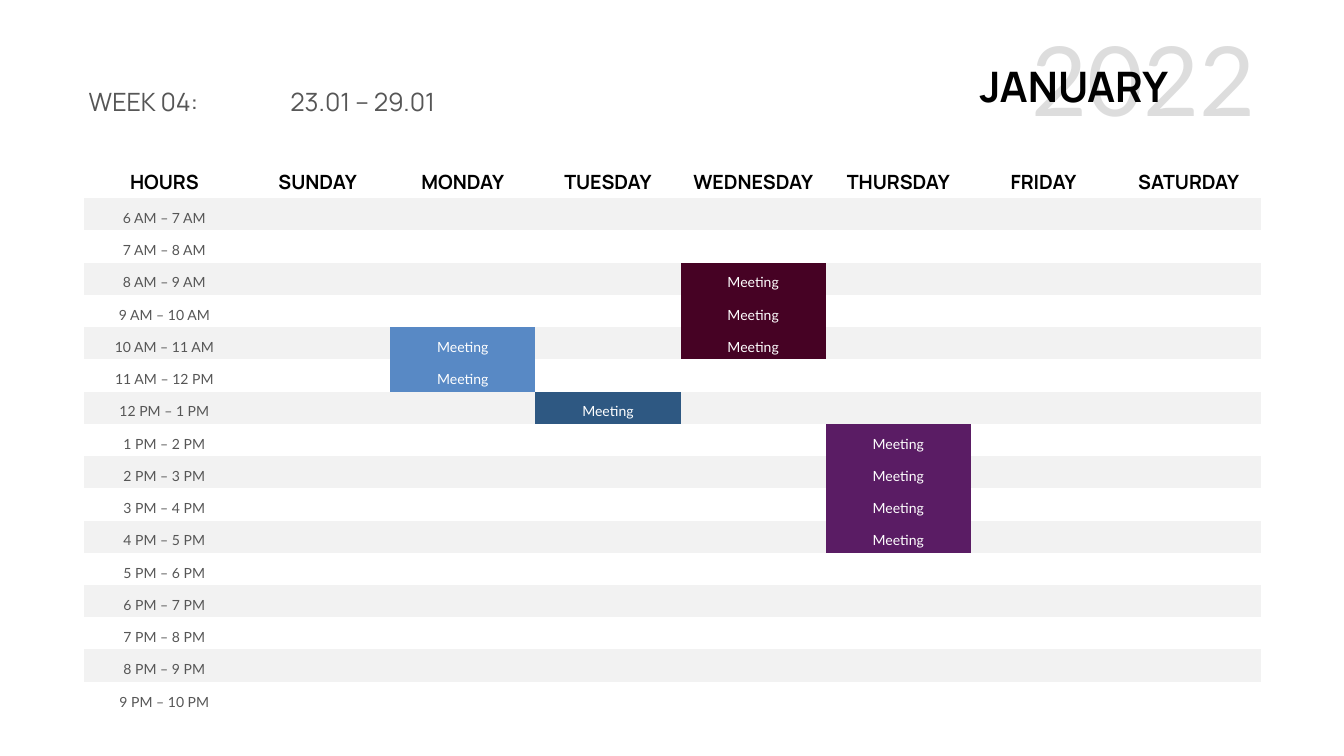
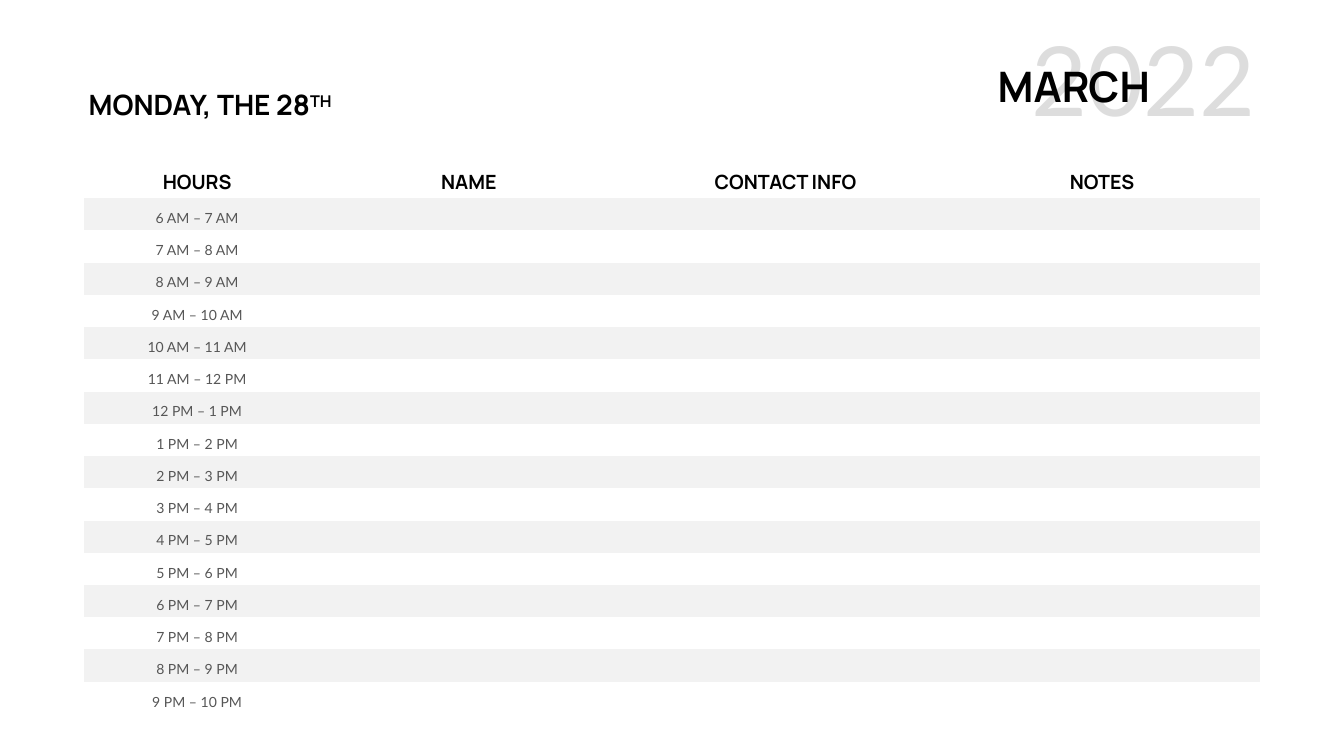
from lxml import etree
from pptx import Presentation
from pptx.dml.color import RGBColor as Rgb
from pptx.enum.text import MSO_ANCHOR as Anchor, MSO_AUTO_SIZE as Fit, PP_ALIGN as Align
from pptx.oxml.ns import qn
from pptx.util import Inches, Pt

HUES = {
    "ink": "000000", "grey": "565656", "white": "FFFFFF", "band": "F2F2F2",
    "wine": "460224", "sky": "5889C5", "navy": "2E5882", "plum": "5A1C64",
}
HEAD, BODY = "Manrope", "Lato"
LEFT, TOP = 1.66, 3.28
HEAD_ROW, ROW = 0.65, 0.64
MONTH_MID = 21.3
PLAIN = "{2D5ABB26-0587-4C30-8999-92F81FD0307C}"
FIRST, LAST = 6, 22
DAYS = ["SUNDAY", "MONDAY", "TUESDAY", "WEDNESDAY", "THURSDAY", "FRIDAY", "SATURDAY"]
# day, start hour, end hour, colour
MEETINGS = [
    ("WEDNESDAY", 8, 11, "wine"),
    ("MONDAY", 10, 12, "sky"),
    ("TUESDAY", 12, 13, "navy"),
    ("THURSDAY", 13, 17, "plum"),
]


def clock(hour):
    return f"{(hour - 1) % 12 + 1} {'AM' if hour < 12 else 'PM'}"


class Planner:
    """Holds the deck, its style and the current slide."""

    def __init__(self):
        self.deck = Presentation()
        self.deck.slide_width = Inches(26.66)
        self.deck.slide_height = Inches(15)

    def start(self):
        self.slide = self.deck.slides.add_slide(self.deck.slide_layouts[5])
        self.shapes = self.slide.shapes

    def run(self, para, text, size, face, hue, bold=False):
        run = para.add_run()
        run.text = text
        font = run.font
        font.size, font.name, font.bold = Pt(size), face, bold
        font.color.rgb = Rgb.from_string(HUES[hue])
        return run

    def frame(self, shape, align, anchor=Anchor.TOP):
        """Set up a box that fits its text and return its first paragraph."""
        box = shape.text_frame
        box.word_wrap = False
        box.auto_size = Fit.SHAPE_TO_FIT_TEXT
        box.vertical_anchor = anchor
        para = box.paragraphs[0]
        para.alignment = align
        return para

    def title(self, top, width, height, anchor):
        shape = self.shapes.title
        shape.left, shape.top = Inches(LEFT), Inches(top)
        shape.width, shape.height = Inches(width), Inches(height)
        return self.frame(shape, Align.LEFT, anchor)

    def box(self, host, left, top, width, height, align):
        shape = host.add_textbox(Inches(left), Inches(top), Inches(width), Inches(height))
        return self.frame(shape, align)

    def month(self, name, width, host):
        """Write the month over a pale year."""
        para = self.box(host, 20.31, 0.34, 4.69, 2.42, Align.RIGHT)
        year = self.run(para, "2022", 138, BODY, "grey")
        tint = year.font.fill._xPr.find(qn("a:solidFill"))[0]
        etree.SubElement(tint, qn("a:alpha")).set("val", "20000")
        para = self.box(host, MONTH_MID - width / 2, 1.16, width, 1.11, Align.CENTER)
        self.run(para, name, 60, HEAD, "ink", True)

    def cell(self, cell, text, size, face, hue, bold=False):
        para = cell.text_frame.paragraphs[0]
        para.alignment = Align.CENTER
        self.run(para, text, size, face, hue, bold)
        return para

    def slot(self, cell, text, hue):
        self.cell(cell, text, 20, BODY, hue).line_spacing = Pt(37)

    def table(self, heads, widths):
        """Add the hour grid with its headings and striped rows."""
        count = LAST - FIRST
        frame = self.shapes.add_table(
            count + 1, len(heads), Inches(LEFT), Inches(TOP),
            Inches(sum(widths)), Inches(HEAD_ROW + count * ROW))
        grid = frame.table
        grid.first_row = grid.horz_banding = False
        grid._tbl.tblPr.find(qn("a:tableStyleId")).text = PLAIN
        for col, width in zip(grid.columns, widths):
            col.width = Inches(width)
        for num, row in enumerate(grid.rows):
            row.height = Inches(ROW if num else HEAD_ROW)
            for cell in row.cells:
                if num % 2:
                    self.paint(cell, "band")
                else:
                    cell.fill.background()
        for col, text in enumerate(heads):
            cell = grid.cell(0, col)
            cell.vertical_anchor = Anchor.BOTTOM
            self.cell(cell, text, 28, HEAD, "ink", True)
        for num, hour in enumerate(range(FIRST, LAST), 1):
            self.slot(grid.cell(num, 0), f"{clock(hour)} – {clock(hour + 1)}", "grey")
        return grid

    def paint(self, cell, hue):
        cell.fill.solid()
        cell.fill.fore_color.rgb = Rgb.from_string(HUES[hue])


def week(plan):
    plan.start()
    para = plan.title(1.65, 7.27, 0.71, Anchor.MIDDLE)
    tabs = etree.SubElement(para._p.get_or_add_pPr(), qn("a:tabLst"))
    etree.SubElement(tabs, qn("a:tab"), pos=str(Inches(4)), algn="l")
    plan.run(para, "WEEK 04: \t23.01 – 29.01", 36, HEAD, "grey")
    grid = plan.table(["HOURS"] + DAYS, [3.2] + [2.88] * 7)
    for day, start, end, hue in MEETINGS:
        for hour in range(start, end):
            cell = grid.cell(hour - FIRST + 1, DAYS.index(day) + 1)
            plan.paint(cell, hue)
            plan.slot(cell, "Meeting", "white")
    plan.month("JANUARY", 4.27, plan.shapes)


def day(plan):
    plan.start()
    para = plan.title(1.69, 5.52, 0.77, Anchor.BOTTOM)
    plan.run(para, "MONDAY, THE 28", 40, HEAD, "ink", True)
    mark = plan.run(para, "TH", 40, HEAD, "ink", True)
    mark._r.get_or_add_rPr().set("baseline", "30000")
    plan.month("MARCH", 3.4, plan.shapes.add_group_shape().shapes)
    plan.table(["HOURS", "NAME", "CONTACT INFO", "NOTES"], [4.5] + [6.28] * 3)


def main():
    plan = Planner()
    week(plan)
    day(plan)
    plan.deck.save("out.pptx")


if __name__ == "__main__":
    main()
